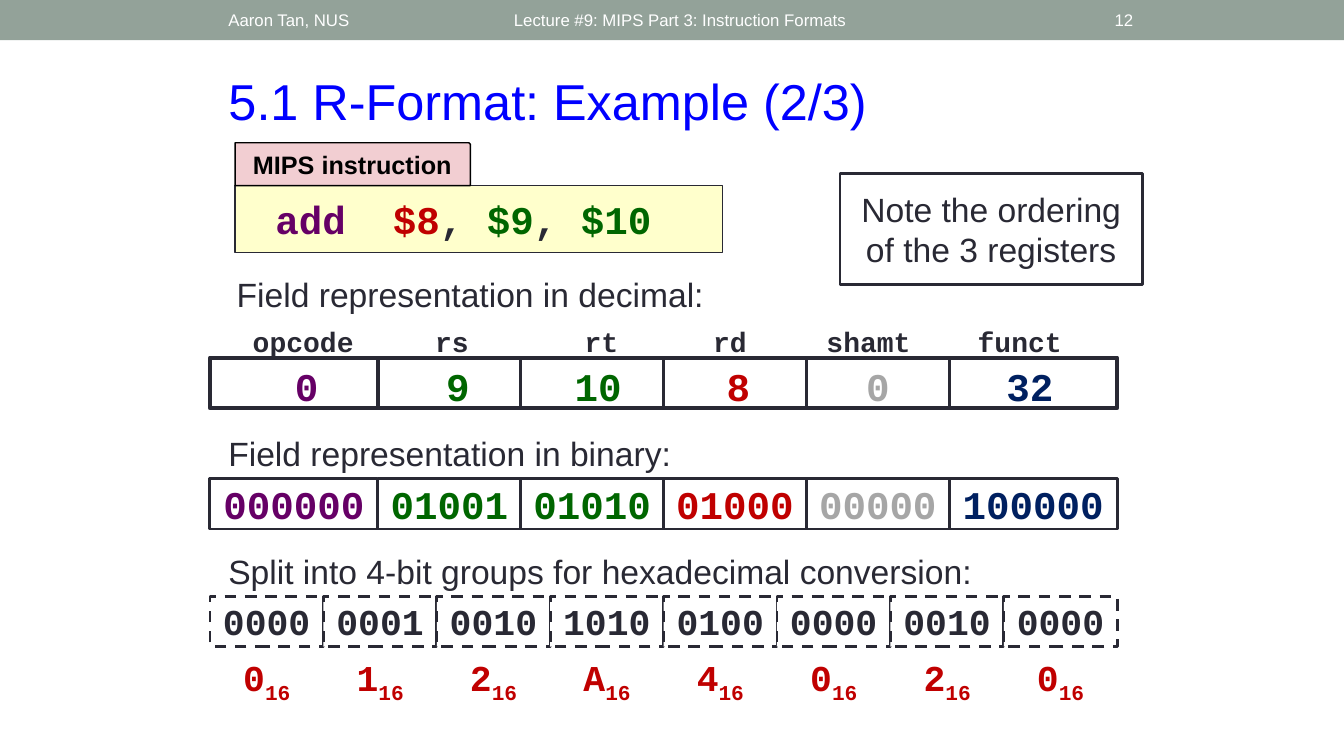
"""Build the slide on R-format instruction encoding, on a grid of 160 by 90 units."""
from pptx import Presentation
from pptx.dml.color import RGBColor
from pptx.enum.dml import MSO_LINE
from pptx.enum.shapes import MSO_CONNECTOR, MSO_SHAPE
from pptx.enum.text import MSO_ANCHOR, PP_ALIGN
from pptx.oxml.ns import qn
from pptx.util import Inches, Pt
from lxml import etree

RECT, SNIP = MSO_SHAPE.RECTANGLE, MSO_SHAPE.SNIP_1_RECTANGLE
LEFT, MID, RIGHT = PP_ALIGN.LEFT, PP_ALIGN.CENTER, PP_ALIGN.RIGHT
TOP, CORE = MSO_ANCHOR.TOP, MSO_ANCHOR.MIDDLE
DASH, STRAIGHT = MSO_LINE.DASH, MSO_CONNECTOR.STRAIGHT

INK = RGBColor(0x29, 0x29, 0x34)
WHITE = RGBColor(0xFF, 0xFF, 0xFF)
BLACK = RGBColor(0, 0, 0)
SAGE = RGBColor(0x93, 0xA2, 0x99)
BLUE = RGBColor(0, 0, 0xFF)
PLUM = RGBColor(0x66, 0, 0x66)
GREEN = RGBColor(0, 0x66, 0)
RED = RGBColor(0xC0, 0, 0)
GREY = RGBColor(0xA6, 0xA6, 0xA6)
NAVY = RGBColor(0, 0x20, 0x60)
PINK = RGBColor(0xF2, 0xCE, 0xD2)
CREAM = RGBColor(0xFF, 0xFF, 0xCC)

UNIT = Inches(13.33) / 160
EDGE, SPAN, TALL = 25, 108, 6

HEAD = {"name": "Arial", "size": Pt(12)}
TITLE = {"name": "Arial", "size": Pt(36)}
PLAIN = {"name": "Arial", "size": Pt(24)}
TAB = {"name": "Arial", "size": Pt(18), "bold": True}
LABEL = {"name": "Courier New", "size": Pt(20), "bold": True}
NIBBLE = {"name": "Courier New", "size": Pt(26), "bold": True}
CODE = {"name": "Courier New", "size": Pt(28), "bold": True}

deck = Presentation()
deck.slide_width, deck.slide_height = Inches(13.33), Inches(7.5)
slide = deck.slides.add_slide(deck.slide_layouts[5])
shapes = slide.shapes


def write(shape, runs, style, align=LEFT, anchor=CORE):
    """Fill a shape with coloured runs of one style."""
    frame = shape.text_frame
    frame.word_wrap = True
    frame.vertical_anchor = anchor
    line = frame.paragraphs[0]
    line.alignment = align
    for text, color in runs:
        run = line.add_run()
        run.text = text
        for key, value in style.items():
            setattr(run.font, key, value)
        run.font.color.rgb = color
    return line


def draw(kind, place, fill=None, edge=None, width=2.08):
    """Add a preset shape, or a text box when kind is None."""
    spot = [round(n * UNIT) for n in place]
    if kind is None:
        return shapes.add_textbox(*spot)
    shape = shapes.add_shape(kind, *spot)
    shape.shadow.inherit = False
    for part, color in ((shape.fill, fill), (shape.line.fill, edge)):
        if color is None:
            part.background()
        else:
            part.solid()
            part.fore_color.rgb = color
    if edge is not None:
        shape.line.width = Pt(width)
    return shape


draw(RECT, (0, 0, 160, 4.8), SAGE)
for text, x, w, align in (
    ("Lecture #9: MIPS Part 3: Instruction Formats", 60, 72, LEFT),
    ("Aaron Tan, NUS", 26, 38, LEFT),
    ("12", 124.7, 11.4, RIGHT),
):
    write(draw(None, (x, 0.24, w, 4.32)), [(text, WHITE)], HEAD, align)

title = shapes.title
for side, n in {"left": 26, "top": 7.7, "width": 108, "height": 8.5}.items():
    setattr(title, side, round(n * UNIT))
write(title, [("5.1 R-Format: Example (2/3)", BLUE)], TITLE, LEFT, TOP)

for text, x, y, w in (
    ("Field representation in decimal:", 27, 32, 73),
    ("Field representation in binary:", 26, 51, 73),
    ("Split into 4-bit groups for hexadecimal conversion:", 26, 65, 96),
):
    write(draw(None, (x, y, w, TALL)), [(text, INK)], PLAIN, LEFT, TOP)

note = draw(RECT, (100, 20.7, 36, 13.2), WHITE, INK)
write(note, [("Note the ordering of the 3 registers", INK)], PLAIN, MID)

code = draw(RECT, (28, 22.1, 58, 8), CREAM, INK, 1)
write(code, [("add  ", PLUM), ("$8", RED), (", ", INK), ("$9", GREEN),
             (", ", INK), ("$10", GREEN)], CODE)
code.text_frame.margin_left = Inches(0.4)
tab = draw(SNIP, (28, 17, 28, 5.1), PINK, BLACK, 1)
tab.adjustments[0] = 0.037
write(tab, [("MIPS instruction", BLACK)], TAB, MID)

draw(RECT, (EDGE, 42.6, SPAN, TALL), None, INK, 3)
x = EDGE
for name, spot, value, mid, bits, color, w in (
    ("opcode", 36.1, "0", 36.5, "000000", PLUM, 20),
    ("rs", 53.8, "9", 54.5, "01001", GREEN, 17),
    ("rt", 71.6, "10", 71.2, "01010", GREEN, 17),
    ("rd", 86.9, "8", 87.9, "01000", RED, 17),
    ("shamt", 103.4, "0", 104.5, "00000", GREY, 17),
    ("funct", 121.4, "32", 122.6, "100000", NAVY, 20),
):
    write(draw(None, (spot - 8, 38, 16, 5.2)), [(name, INK)], LABEL, MID, TOP)
    write(draw(None, (mid - 6, 42.6, 12, 6.8)), [(value, color)], CODE, MID, TOP)
    write(draw(RECT, (x, 57, w, TALL), WHITE, INK), [(bits, color)], CODE, MID)
    if x > EDGE:
        ends = [round(n * UNIT) for n in (x, 42.6, x, 42.6 + TALL)]
        rule = shapes.add_connector(STRAIGHT, *ends)
        rule.line.color.rgb = INK
        rule.line.width = Pt(2.25)
        etree.SubElement(rule._element.spPr, qn("a:effectLst"))
    x += w

groups = ("0000", "0001", "0010", "1010", "0100", "0000", "0010", "0000")
step = SPAN / len(groups)
for i, bits in enumerate(groups):
    x = EDGE + i * step
    cell = draw(RECT, (x, 71, step, TALL), WHITE, INK)
    cell.line.dash_style = DASH
    write(cell, [(bits, INK)], NIBBLE, MID)
    digit = draw(RECT, (x, 78, step, TALL), WHITE)
    line = write(digit, [(f"{int(bits, 2):X}", RED), ("16", RED)], NIBBLE, MID)
    line.runs[1]._r.get_or_add_rPr().set("baseline", "-25000")

deck.save("out.pptx")
